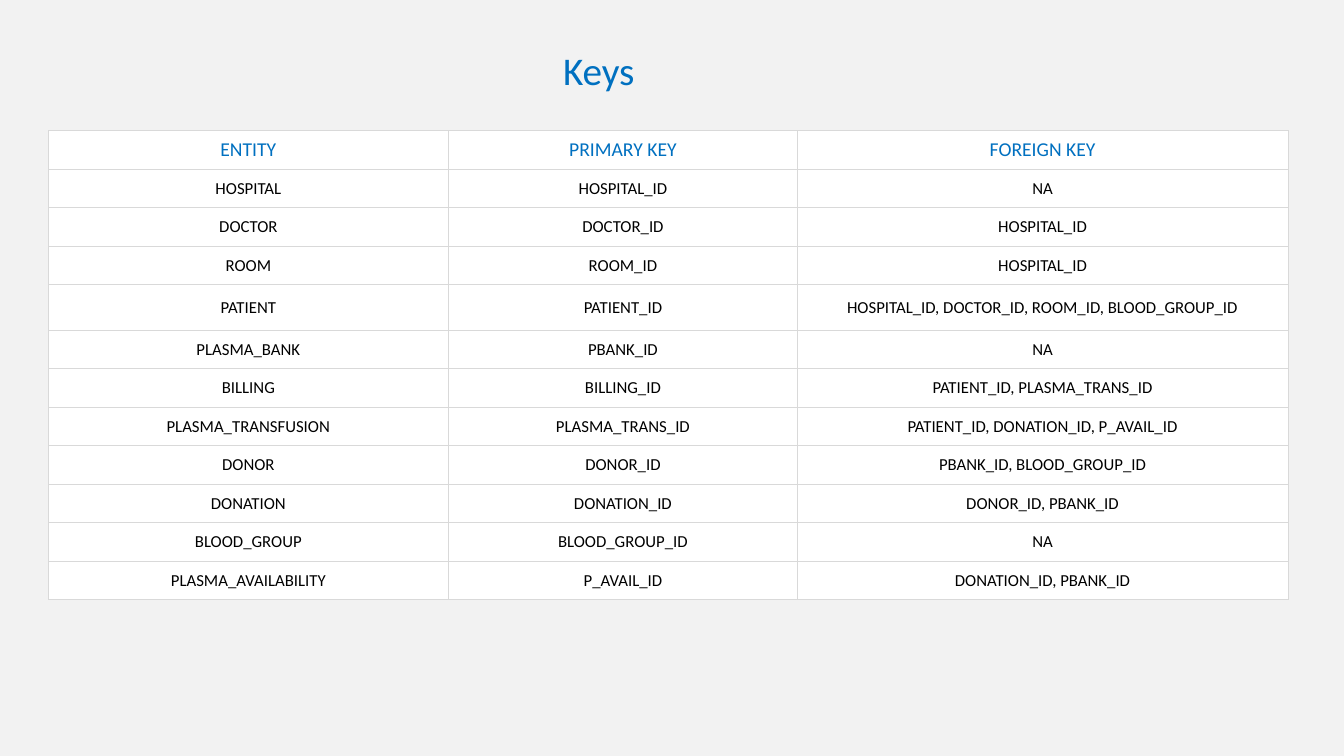
import dataclasses
import typing

import lxml.etree
import pptx
import pptx.dml.color
import pptx.enum.text
import pptx.oxml.ns
import pptx.util

Cm = pptx.util.Cm
Pt = pptx.util.Pt

COLORS = {
    "background": "F2F2F2",
    "accent": "0070C0",
    "body": "000000",
    "cell": "FFFFFF",
    "border": "D9D9D9",
}
FONT = "Calibri"

COLUMN_WIDTHS = (10.08, 8.8, 12.35)
ROW_HEIGHT = 0.97
TALL_ROW_HEIGHT = 1.15
TALL_ENTITY = "PATIENT"

CELL_FORMAT = {
    "margin_left": Cm(0.18),
    "margin_right": Cm(0.18),
    "margin_top": Cm(0.13),
    "margin_bottom": Cm(0.13),
    "vertical_anchor": pptx.enum.text.MSO_ANCHOR.MIDDLE,
}
CELL_PARAGRAPH_FORMAT = {
    "alignment": pptx.enum.text.PP_ALIGN.CENTER,
    "space_before": Pt(10),
}
TITLE_FRAME_FORMAT = {
    "word_wrap": True,
    "vertical_anchor": pptx.enum.text.MSO_ANCHOR.MIDDLE,
}


@dataclasses.dataclass(frozen=True)
class EntityKeys:
    entity: str
    primary: str
    foreign: str = "NA"


HEADINGS = EntityKeys("ENTITY", "PRIMARY KEY", "FOREIGN KEY")
ENTITIES = (
    EntityKeys("HOSPITAL", "HOSPITAL_ID"),
    EntityKeys("DOCTOR", "DOCTOR_ID", "HOSPITAL_ID"),
    EntityKeys("ROOM", "ROOM_ID", "HOSPITAL_ID"),
    EntityKeys("PATIENT", "PATIENT_ID", "HOSPITAL_ID, DOCTOR_ID, ROOM_ID, BLOOD_GROUP_ID"),
    EntityKeys("PLASMA_BANK", "PBANK_ID"),
    EntityKeys("BILLING", "BILLING_ID", "PATIENT_ID, PLASMA_TRANS_ID"),
    EntityKeys("PLASMA_TRANSFUSION", "PLASMA_TRANS_ID", "PATIENT_ID, DONATION_ID, P_AVAIL_ID"),
    EntityKeys("DONOR", "DONOR_ID", "PBANK_ID, BLOOD_GROUP_ID"),
    EntityKeys("DONATION", "DONATION_ID", "DONOR_ID, PBANK_ID"),
    EntityKeys("BLOOD_GROUP", "BLOOD_GROUP_ID"),
    EntityKeys("PLASMA_AVAILABILITY", "P_AVAIL_ID", "DONATION_ID, PBANK_ID"),
)


def rgb(name: str) -> pptx.dml.color.RGBColor:
    return pptx.dml.color.RGBColor.from_string(COLORS[name])


def apply_format(target: typing.Any, values: dict[str, typing.Any]) -> None:
    for attribute, value in values.items():
        setattr(target, attribute, value)


def write_text(paragraph: typing.Any, text: str, size: int, color: str) -> None:
    run = paragraph.add_run()
    run.text = text
    apply_format(run.font, {"name": FONT, "size": Pt(size), "bold": False})
    run.font.color.rgb = rgb(color)


def add_borders(cell: typing.Any) -> None:
    """Outline all four sides; must run before the fill is set, as the schema orders them."""
    qn = pptx.oxml.ns.qn
    properties = cell._tc.get_or_add_tcPr()
    for side in ("a:lnL", "a:lnR", "a:lnT", "a:lnB"):
        line = lxml.etree.SubElement(properties, qn(side), w=str(Pt(0.25)))
        fill = lxml.etree.SubElement(line, qn("a:solidFill"))
        lxml.etree.SubElement(fill, qn("a:srgbClr"), val=COLORS["border"])


def fill_cell(cell: typing.Any, text: str, size: int, color: str) -> None:
    apply_format(cell, CELL_FORMAT)
    add_borders(cell)
    cell.fill.solid()
    cell.fill.fore_color.rgb = rgb("cell")
    paragraph = cell.text_frame.paragraphs[0]
    apply_format(paragraph, CELL_PARAGRAPH_FORMAT)
    write_text(paragraph, text, size, color)


def add_title(slide: typing.Any) -> None:
    title = slide.shapes.add_textbox(Cm(13.94), Cm(1.02), Cm(3.33), Cm(1.65))
    apply_format(title.text_frame, TITLE_FRAME_FORMAT)
    paragraph = title.text_frame.paragraphs[0]
    paragraph.line_spacing = 0.9
    write_text(paragraph, "Keys", 28, "accent")


def add_keys_table(slide: typing.Any) -> None:
    records = (HEADINGS, *ENTITIES)
    heights = [TALL_ROW_HEIGHT if r.entity == TALL_ENTITY else ROW_HEIGHT for r in records]
    keys = slide.shapes.add_table(
        len(records), len(COLUMN_WIDTHS),
        Cm(1.22), Cm(3.29), Cm(sum(COLUMN_WIDTHS)), Cm(sum(heights)),
    ).table
    apply_format(keys, {"first_row": False, "horz_banding": False})
    for column, width in zip(keys.columns, COLUMN_WIDTHS):
        column.width = Cm(width)
    for row, height, record in zip(keys.rows, heights, records):
        row.height = Cm(height)
        size, color = (14, "accent") if record is HEADINGS else (12, "body")
        for cell, text in zip(row.cells, dataclasses.astuple(record)):
            fill_cell(cell, text, size, color)


def main() -> None:
    presentation = pptx.Presentation()
    apply_format(presentation, {"slide_width": Cm(33.87), "slide_height": Cm(19.05)})
    slide = presentation.slides.add_slide(presentation.slide_layouts[6])
    slide.background.fill.solid()
    slide.background.fill.fore_color.rgb = rgb("background")
    add_title(slide)
    add_keys_table(slide)
    presentation.save("out.pptx")


if __name__ == "__main__":
    main()
